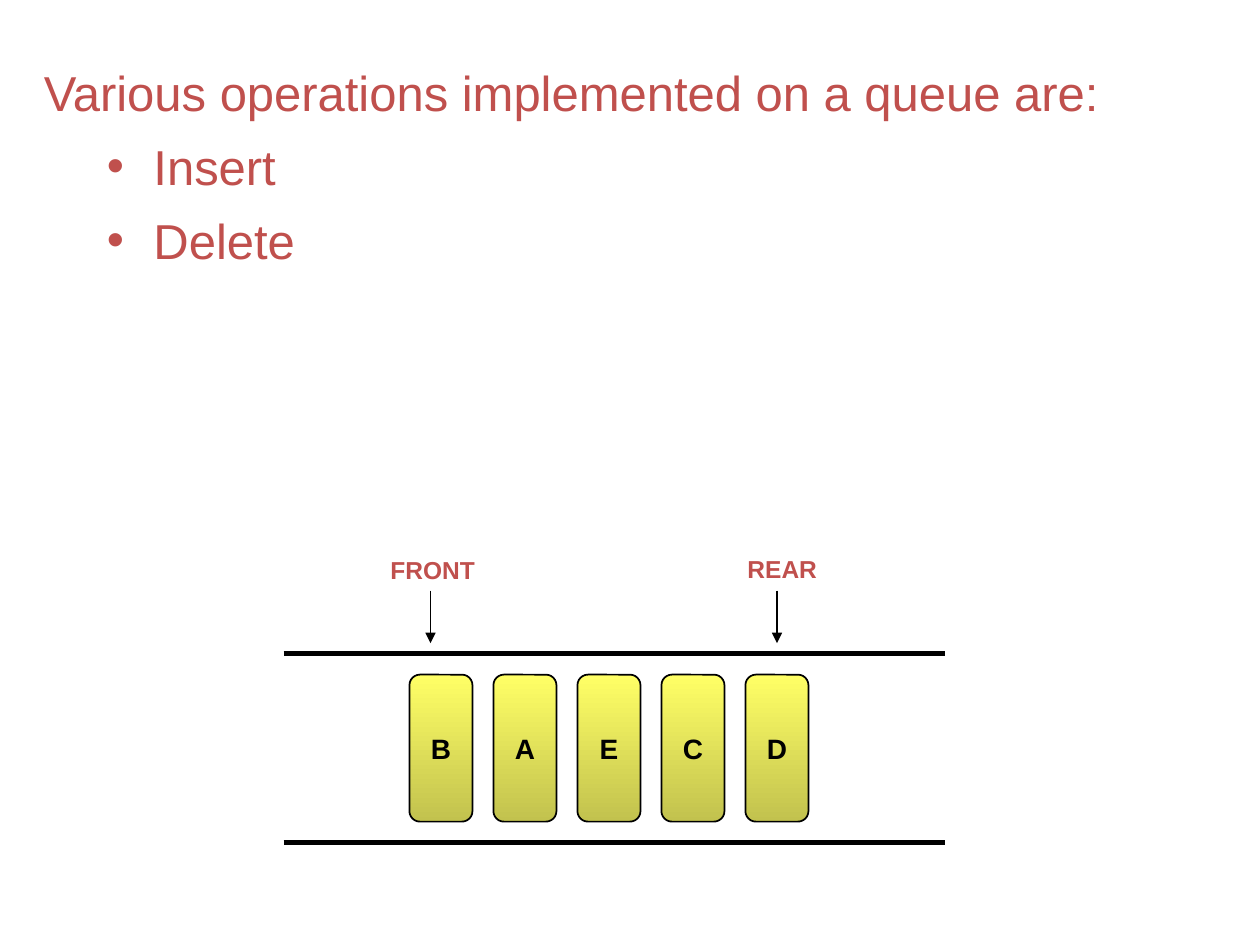
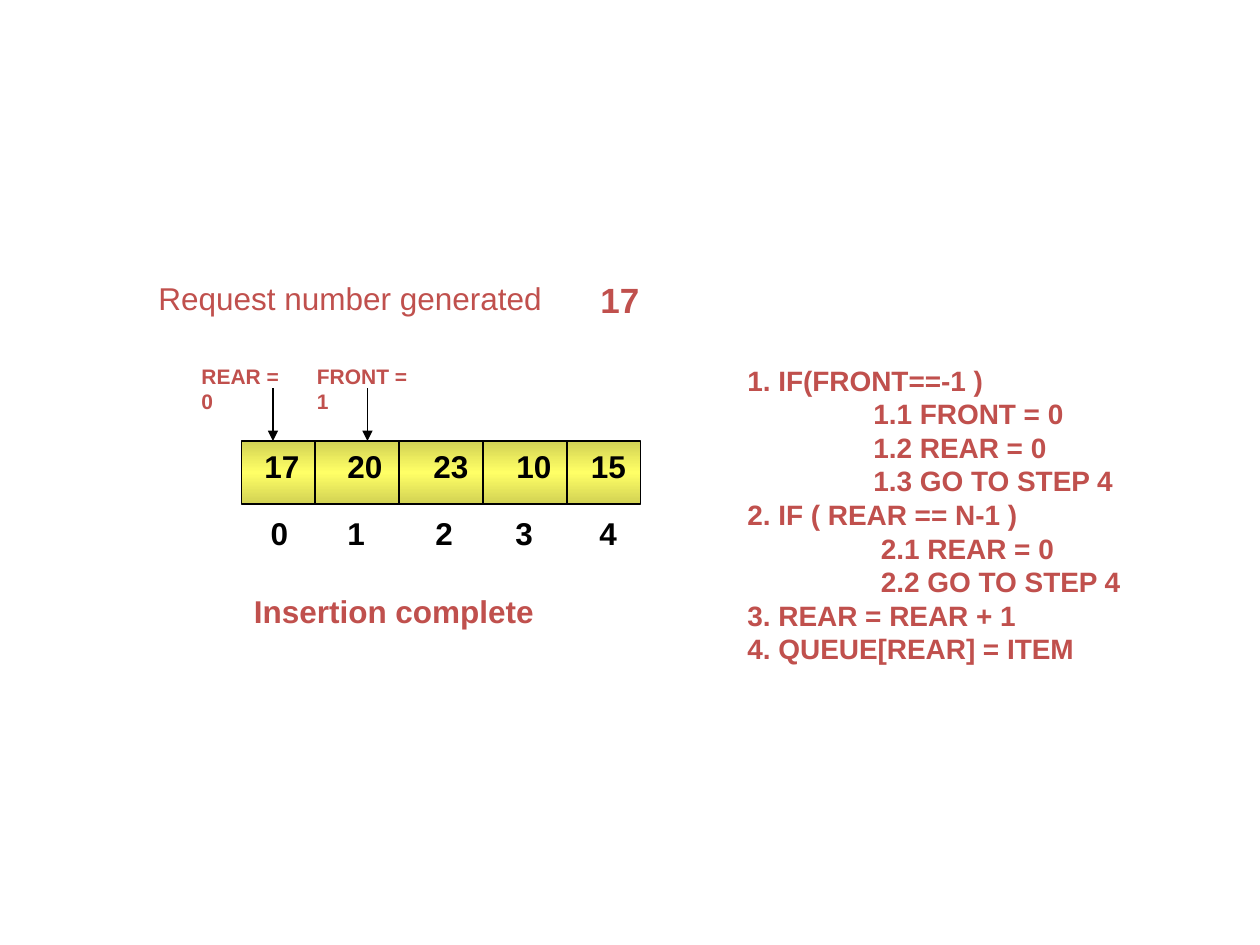
import dataclasses
import typing

import lxml.etree
import pptx
import pptx.dml.color
import pptx.enum.shapes
import pptx.enum.text
import pptx.oxml.ns
import pptx.util


@dataclasses.dataclass(frozen=True)
class Theme:
    font: str = "Arial"
    accent: str = "C0504D"
    ink: str = "000000"
    bright: str = "FFFF66"
    card_shade: str = "C2C24E"
    array_shade: str = "D2D254"
    heading: float = 28
    request: float = 20
    body: float = 18
    code: float = 16
    label: float = 14
    pointer: float = 12
    thin: float = 0.75
    card_border: float = 1
    rail: float = 3


class Line(typing.NamedTuple):
    """One paragraph: its text, left indent in inches and bullet."""
    text: str
    indent: float = 0
    bullet: bool = False


class Pointer(typing.NamedTuple):
    """A label with the arrow that belongs to it, in grid units."""
    text: str
    left: float
    top: float
    width: float
    arrow_column: float


class ArrayCell(typing.NamedTuple):
    value: str
    value_column: float
    index_column: float


THEME = Theme()
COLUMNS, ROWS = 120, 90
WIDTH, HEIGHT = pptx.util.Inches(10), pptx.util.Inches(7.5)
HANGING = 0.37

# Slide 1: operations and the queue
OPERATIONS = [
    Line("Various operations implemented on a queue are:"),
    Line("Insert", 0.87, True),
    Line("Delete", 0.87, True),
]
QUEUE_POINTERS = [
    Pointer("FRONT", 36, 52.3, 12, 41),
    Pointer("REAR", 70, 52.2, 10, 74),
]
RAIL_ROWS = (62.25, 80.25)
CARD_LEFT, CARD_TOP, CARD_WIDTH, CARD_HEIGHT, CARD_PITCH = 39, 64.25, 6, 14, 8

# Slide 2: circular insertion
ARRAY_POINTERS = [
    Pointer("REAR = 0", 18, 34, 11.4, 26),
    Pointer("FRONT = 1", 29, 34, 12.6, 35),
]
ARRAY_CELLS = [
    ArrayCell("17", 24, 24.6),
    ArrayCell("20", 31.9, 31.9),
    ArrayCell("23", 40.1, 40.3),
    ArrayCell("10", 48, 47.9),
    ArrayCell("15", 55.1, 55.9),
]
ARRAY_LEFT, ARRAY_TOP, ARRAY_WIDTH, ARRAY_HEIGHT = 23, 42, 38, 6
FIRST_DIVIDER, DIVIDER_PITCH = 30, 8
ALGORITHM = [
    Line("1. IF(FRONT==-1 )"),
    Line("1.1 FRONT = 0", 1),
    Line("1.2 REAR = 0", 1),
    Line("1.3 GO TO STEP 4", 1),
    Line("2. IF ( REAR == N-1 )"),
    Line("2.1 REAR = 0", 1.06),
    Line("2.2 GO TO STEP 4", 1.06),
    Line("3. REAR = REAR + 1"),
    Line("4. QUEUE[REAR] = ITEM"),
]


def column(units: float) -> int:
    return round(WIDTH * units / COLUMNS)


def row(units: float) -> int:
    return round(HEIGHT * units / ROWS)


def area(left: float, top: float, width: float, height: float) -> tuple:
    return column(left), row(top), column(width), row(height)


def rgb(color: str) -> pptx.dml.color.RGBColor:
    return pptx.dml.color.RGBColor.from_string(color)


def add_element(parent, tag: str, **attributes: str):
    element = lxml.etree.SubElement(parent, pptx.oxml.ns.qn(tag))
    for name, value in attributes.items():
        element.set(name, value)
    return element


def indent_paragraph(paragraph, line: Line) -> None:
    properties = paragraph._p.get_or_add_pPr()
    properties.set("marL", str(pptx.util.Inches(line.indent)))
    if line.bullet:
        properties.set("indent", str(-pptx.util.Inches(HANGING)))
        add_element(properties, "a:buFont", typeface=THEME.font)
        add_element(properties, "a:buChar", char="•")


def write_text(shape, text: str | list[Line], *, size: float, color: str = THEME.accent,
               bold: bool = True, centered: bool = False, wrap: bool = True,
               space_before: float = 0) -> None:
    frame = shape.text_frame
    frame.word_wrap = wrap
    frame.vertical_anchor = (pptx.enum.text.MSO_ANCHOR.MIDDLE if centered
                             else pptx.enum.text.MSO_ANCHOR.TOP)
    lines = [Line(text)] if isinstance(text, str) else text
    for number, line in enumerate(lines):
        paragraph = frame.add_paragraph() if number else frame.paragraphs[0]
        indent_paragraph(paragraph, line)
        paragraph.text = line.text
        if number:
            paragraph.space_before = pptx.util.Pt(space_before)
        paragraph.alignment = (pptx.enum.text.PP_ALIGN.CENTER if centered
                               else pptx.enum.text.PP_ALIGN.LEFT)
        font = paragraph.font
        font.name, font.size, font.bold = THEME.font, pptx.util.Pt(size), bold
        font.color.rgb = rgb(color)


def add_text(shapes, box: tuple, text: str | list[Line], **text_format) -> None:
    write_text(shapes.add_textbox(*area(*box)), text, **text_format)


def add_line(shapes, start: tuple, end: tuple, weight: float = THEME.thin,
             arrow: bool = False) -> None:
    connector = shapes.add_connector(
        pptx.enum.shapes.MSO_CONNECTOR.STRAIGHT,
        column(start[0]), row(start[1]), column(end[0]), row(end[1]))
    connector.line.width = pptx.util.Pt(weight)
    connector.line.color.rgb = rgb(THEME.ink)
    if arrow:
        add_element(connector.line._get_or_add_ln(), "a:tailEnd", type="triangle")
    add_element(connector._element.spPr, "a:effectLst")


def add_gradient_shape(shapes, kind, box: tuple, colors: list[str], border: float):
    shape = shapes.add_shape(kind, *area(*box))
    shape.shadow.inherit = False
    shape.fill.gradient()
    shape.fill.gradient_angle = 270
    stops = shape._element.spPr.find(".//" + pptx.oxml.ns.qn("a:gsLst"))
    for stop in list(stops):
        stops.remove(stop)
    for number, color in enumerate(colors):
        position = round(100000 * number / (len(colors) - 1))
        stop = add_element(stops, "a:gs", pos=str(position))
        add_element(stop, "a:srgbClr", val=color)
    shape.line.color.rgb = rgb(THEME.ink)
    shape.line.width = pptx.util.Pt(border)
    return shape


def add_pointer(shapes, pointer: Pointer, arrow_top: float, arrow_bottom: float,
                size: float, wrap: bool) -> None:
    add_text(shapes, (pointer.left, pointer.top, pointer.width, 4), pointer.text,
             size=size, wrap=wrap)
    add_line(shapes, (pointer.arrow_column, arrow_top),
             (pointer.arrow_column, arrow_bottom), arrow=True)


def build_operations_slide(shapes) -> None:
    add_text(shapes, (3, 5.4, 113, 34), OPERATIONS, size=THEME.heading, bold=False,
             space_before=8.5)
    # Rails and the cards between them
    for rail_row in RAIL_ROWS:
        add_line(shapes, (27, rail_row), (90, rail_row), THEME.rail)
    for number, letter in enumerate("BAECD"):
        card = add_gradient_shape(
            shapes, pptx.enum.shapes.MSO_SHAPE.ROUNDED_RECTANGLE,
            (CARD_LEFT + number * CARD_PITCH, CARD_TOP, CARD_WIDTH, CARD_HEIGHT),
            [THEME.bright, THEME.card_shade], THEME.card_border)
        write_text(card, letter, size=THEME.code, color=THEME.ink, centered=True, wrap=False)
    for pointer in QUEUE_POINTERS:
        add_pointer(shapes, pointer, 56.25, 61.25, THEME.label, wrap=True)


def build_insertion_slide(shapes) -> None:
    add_text(shapes, (13.9, 26, 40, 4.8), "Request number generated", size=THEME.body,
             bold=False)
    add_text(shapes, (56, 25.9, 8, 5.3), "17", size=THEME.request)
    # Array with its dividers, values and indexes
    add_gradient_shape(shapes, pptx.enum.shapes.MSO_SHAPE.RECTANGLE,
                       (ARRAY_LEFT, ARRAY_TOP, ARRAY_WIDTH, ARRAY_HEIGHT),
                       [THEME.array_shade, THEME.bright, THEME.array_shade], THEME.thin)
    for number in range(len(ARRAY_CELLS) - 1):
        divider = FIRST_DIVIDER + number * DIVIDER_PITCH
        add_line(shapes, (divider, ARRAY_TOP), (divider, ARRAY_TOP + ARRAY_HEIGHT))
    index_group = shapes.add_group_shape()
    for index, cell in enumerate(ARRAY_CELLS):
        add_text(shapes, (cell.value_column, ARRAY_TOP, 5.8, 4.8), cell.value,
                 size=THEME.body, color=THEME.ink, wrap=False)
        add_text(index_group.shapes, (cell.index_column, 48.4, 4.1, 4.8), str(index),
                 size=THEME.body, color=THEME.ink, wrap=False)
    for pointer in ARRAY_POINTERS:
        add_pointer(shapes, pointer, 37, ARRAY_TOP, THEME.pointer, wrap=False)
    add_text(shapes, (23, 55.8, 34, 4.8), "Insertion complete", size=THEME.body)
    # Algorithm steps
    add_text(shapes, (70, 34, 46, 30), ALGORITHM, size=THEME.code)


def main() -> None:
    presentation = pptx.Presentation()
    presentation.slide_width, presentation.slide_height = WIDTH, HEIGHT
    for build in (build_operations_slide, build_insertion_slide):
        slide = presentation.slides.add_slide(presentation.slide_layouts[6])
        build(slide.shapes)
    presentation.save("out.pptx")


if __name__ == "__main__":
    main()
